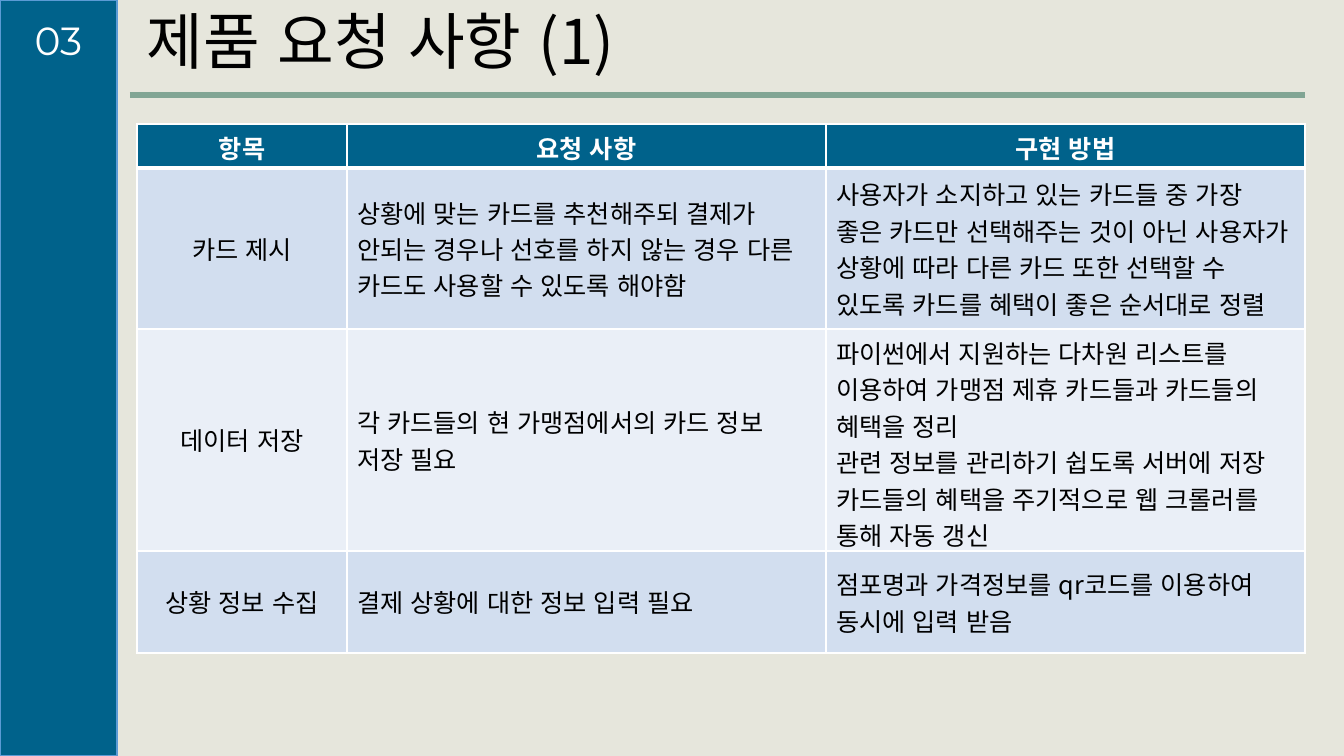
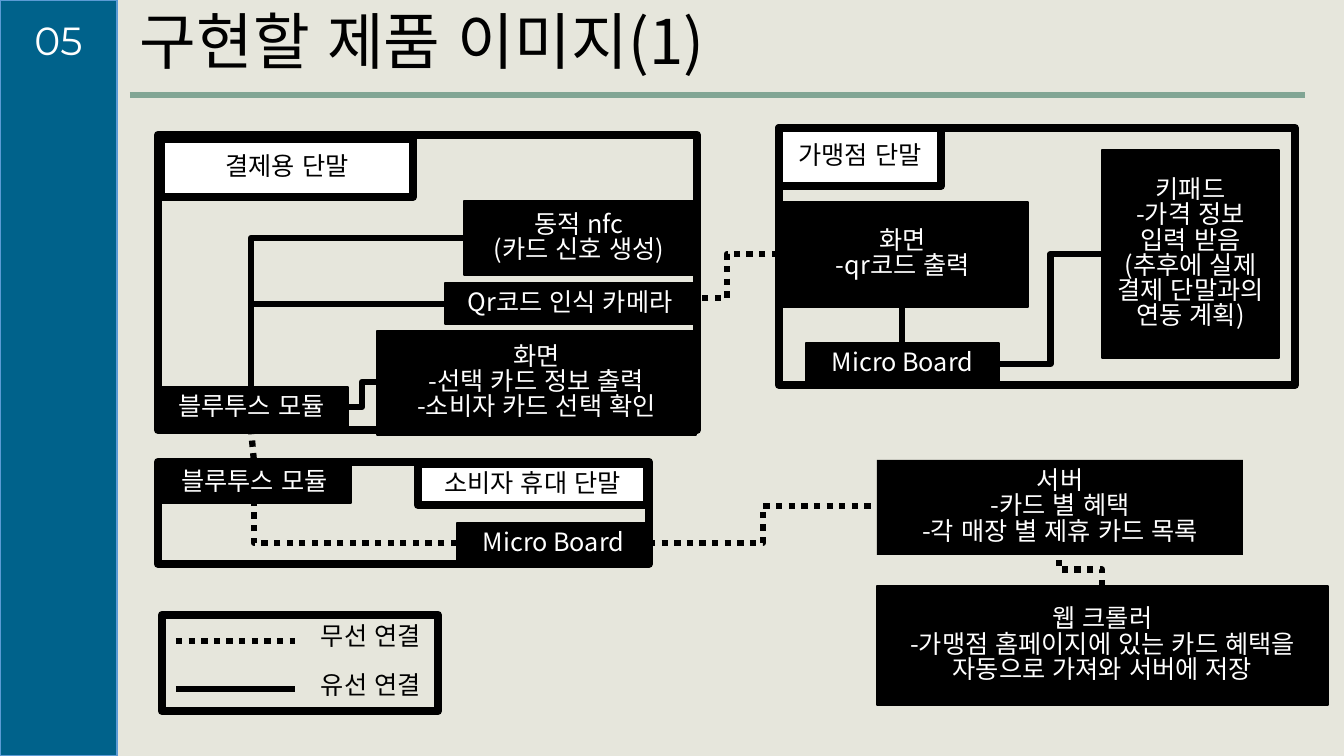
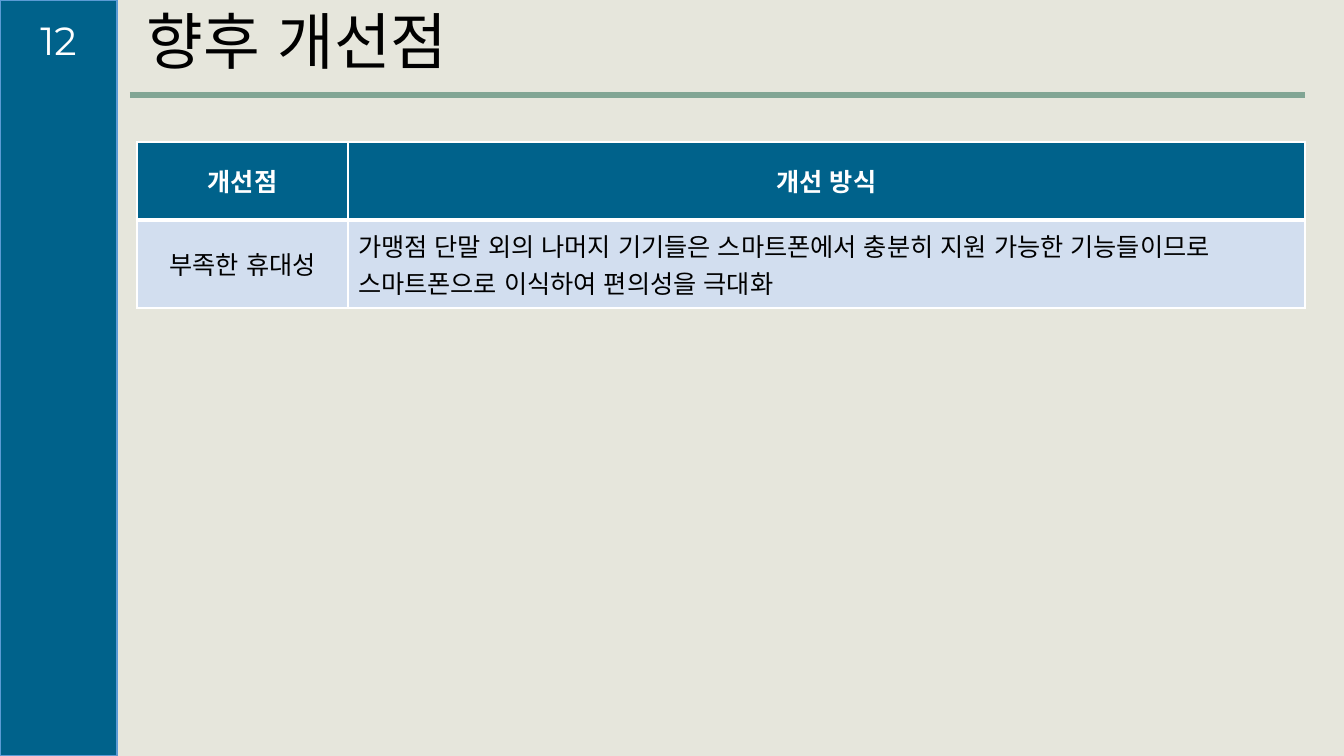
import pptx
import pptx.util
import pptx.dml.color
import pptx.enum.dml
import pptx.enum.lang
import pptx.enum.shapes
import pptx.enum.text
import pptx.oxml
import pptx.oxml.ns

# Shared look
SLIDE_WIDTH, SLIDE_HEIGHT = 1344, 756
SCALE = 12192000 / SLIDE_WIDTH
COLORS = {
    "background": "E6E6DC", "band": "00628B", "band_edge": "5B9BD5", "rule": "81A594",
    "white": "FFFFFF", "black": "000000", "row_dark": "D2DEEF", "row_light": "EAEFF7",
}
NUMBER_FONT, KOREAN_FONT = "Montserrat", "Noto Sans CJK KR"
BODY_SIZE, TITLE_SIZE, NUMBER_SIZE = 18, 44, 28
TIGHT = 0.83  # line spacing outside tables
CENTER, LEFT = pptx.enum.text.PP_ALIGN.CENTER, pptx.enum.text.PP_ALIGN.LEFT
MIDDLE, TOP = pptx.enum.text.MSO_ANCHOR.MIDDLE, pptx.enum.text.MSO_ANCHOR.TOP

# Tables: each cell is a list of paragraphs
REQUESTS = {
    "top": 124, "columns": [210, 479, 479], "rows": [44, 161, 222, 102],
    "cells": [
        [["항목"], ["요청 사항"], ["구현 방법"]],
        [["카드 제시"],
         ["상황에 맞는 카드를 추천해주되 결제가 안되는 경우나 선호를 하지 않는 경우 "
          "다른 카드도 사용할 수 있도록 해야함"],
         ["사용자가 소지하고 있는 카드들 중 가장 좋은 카드만 선택해주는 것이 아닌 사용자가 "
          "상황에 따라 다른 카드 또한 선택할 수 있도록 카드를 혜택이 좋은 순서대로 정렬"]],
        [["데이터 저장"],
         ["각 카드들의 현 가맹점에서의 카드 정보 저장 필요"],
         ["파이썬에서 지원하는 다차원 리스트를 이용하여 가맹점 제휴 카드들과 카드들의 혜택을 정리",
          "관련 정보를 관리하기 쉽도록 서버에 저장",
          "카드들의 혜택을 주기적으로 웹 크롤러를 통해 자동 갱신"]],
        [["상황 정보 수집"],
         ["결제 상황에 대한 정보 입력 필요"],
         ["점포명과 가격정보를 qr코드를 이용하여 동시에 입력 받음"]],
    ],
}
IMPROVEMENTS = {
    "top": 142, "columns": [211, 957], "rows": [78, 88],
    "cells": [
        [["개선점"], ["개선 방식"]],
        [["부족한 휴대성"],
         ["가맹점 단말 외의 나머지 기기들은 스마트폰에서 충분히 지원 가능한 기능들이므로 "
          "스마트폰으로 이식하여 편의성을 극대화"]],
    ],
}

# Diagram boxes: style, (left, top, width, height), paragraphs
BOX_STYLES = {  # fill, line width in points, text colour
    "part": ("black", 1, "white"),
    "plain": ("black", None, "white"),
    "frame": (None, 6, "black"),
    "label": ("white", 6, "black"),
}
BOXES = [
    ("plain", (877, 460, 366, 95), ["서버", "-카드 별 혜택", "-각 매장 별 제휴 카드 목록"]),
    ("part", (877, 586, 451, 119),
     ["웹 크롤러", "-가맹점 홈페이지에 있는 카드 혜택을 자동으로 가져와 서버에 저장"]),
    # shop terminal
    ("part", (778, 202, 250, 105), ["화면", "-qr코드 출력"]),
    ("part", (806, 343, 193, 41), ["Micro Board"]),
    ("part", (1102, 150, 177, 208),
     ["키패드", "-가격 정보 입력 받음", "(추후에 실제 결제 단말과의 연동 계획)"]),
    ("frame", (779, 128, 516, 257), []),
    ("label", (779, 128, 162, 58), ["가맹점 단말"]),
    # customer terminal
    ("frame", (158, 462, 491, 102), []),
    ("part", (158, 462, 193, 41), ["블루투스 모듈"]),
    ("part", (457, 523, 193, 41), ["Micro Board"]),
    ("label", (418, 464, 229, 41), ["소비자 휴대 단말"]),
    # payment terminal
    ("part", (445, 283, 250, 41), ["Qr코드 인식 카메라"]),
    ("part", (155, 387, 193, 41), ["블루투스 모듈"]),
    ("part", (464, 201, 230, 74), ["동적 nfc", "(카드 신호 생성)"]),
    ("frame", (158, 135, 539, 295), []),
    ("label", (161, 139, 252, 58), ["결제용 단말"]),
    ("part", (377, 331, 319, 104), ["화면", "-선택 카드 정보 출력", "-소비자 카드 선택 확인"]),
    # legend
    ("frame", (162, 615, 276, 96), []),
]
# Diagram wires: route, start, end, wireless
WIRES = [
    ("straight", (902, 343), (902, 307), False),
    ("elbow", (999, 364), (1102, 254), False),
    ("corner", (464, 238), (251, 387), False),
    ("corner", (445, 304), (251, 387), False),
    ("elbow", (377, 382), (347, 407), False),
    ("elbow", (649, 543), (877, 506), True),
    ("elbow", (778, 254), (676, 298), True),
    ("straight", (251, 428), (254, 462), True),
    ("corner", (457, 543), (254, 503), True),
    ("upright", (1102, 586), (1059, 553), True),
]
LEGEND = [("무선 연결", True), ("유선 연결", False)]
LEGEND_TOP, LEGEND_STEP = 641, 48


def px(length):
    return pptx.util.Emu(round(length * SCALE))


def rgb(name):
    return pptx.dml.color.RGBColor.from_string(COLORS[name])


def write(frame, lines, color, size=BODY_SIZE, font=KOREAN_FONT, align=CENTER,
          anchor=MIDDLE, bold=False, spacing=None):
    """Fill a text frame, one paragraph for each line."""
    frame.word_wrap = True
    frame.vertical_anchor = anchor
    for index, line in enumerate(lines):
        paragraph = frame.add_paragraph() if index else frame.paragraphs[0]
        paragraph.alignment = align
        if spacing:
            paragraph.line_spacing = spacing
        run = paragraph.add_run()
        run.text = line
        run.font.size = pptx.util.Pt(size)
        run.font.bold = bold
        run.font.name = font
        run.font.language_id = pptx.enum.lang.MSO_LANGUAGE_ID.KOREAN
        run.font.color.rgb = rgb(color)
        east_asian = pptx.oxml.parse_xml(
            f'<a:ea {pptx.oxml.ns.nsdecls("a")} typeface="{font}"/>')
        run.font._element.find(pptx.oxml.ns.qn("a:latin")).addnext(east_asian)


def add_text(slide, area, text, color, **options):
    box = slide.shapes.add_textbox(*map(px, area))
    write(box.text_frame, [text], color, anchor=TOP, **options)


def add_box(slide, area, fill, line_width, line_color="black"):
    shape = slide.shapes.add_shape(
        pptx.enum.shapes.MSO_SHAPE.RECTANGLE, *map(px, area))
    shape.shadow.inherit = False
    if fill:
        shape.fill.solid()
        shape.fill.fore_color.rgb = rgb(fill)
    else:
        shape.fill.background()
    if line_width:
        shape.line.width = pptx.util.Pt(line_width)
        shape.line.color.rgb = rgb(line_color)
    else:
        shape.line.fill.background()
    return shape


def add_wire(slide, route, start, end, wireless=False, color="black"):
    kinds = pptx.enum.shapes.MSO_CONNECTOR
    kind = kinds.STRAIGHT if route == "straight" else kinds.ELBOW
    wire = slide.shapes.add_connector(kind, *map(px, start + end))
    properties = wire._element.spPr
    if route == "corner":  # across, then up or down
        properties.find(pptx.oxml.ns.qn("a:prstGeom")).set("prst", "bentConnector2")
    if route == "upright":  # up, to the left, up
        center_x, center_y = (start[0] + end[0]) / 2, (start[1] + end[1]) / 2
        width, height = abs(start[1] - end[1]), abs(start[0] - end[0])
        wire.left, wire.top = px(center_x - width / 2), px(center_y - height / 2)
        wire.width, wire.height = px(width), px(height)
        transform = properties.find(pptx.oxml.ns.qn("a:xfrm"))
        for name, value in (("rot", "16200000"), ("flipH", "0"), ("flipV", "1")):
            transform.set(name, value)
    wire.line.width = pptx.util.Pt(4.5)
    wire.line.color.rgb = rgb(color)
    if wireless:
        wire.line.dash_style = pptx.enum.dml.MSO_LINE.ROUND_DOT
        dash = properties.find(".//" + pptx.oxml.ns.qn("a:prstDash"))
        dash.set("val", "sysDot")
    properties.append(pptx.oxml.parse_xml(
        f'<a:effectLst {pptx.oxml.ns.nsdecls("a")}/>'))


def add_borders(cell, widths):
    """Draw white cell edges; widths are points for left, right, top, bottom."""
    properties = cell._tc.get_or_add_tcPr()
    for side, width in zip("LRTB", widths):
        properties.append(pptx.oxml.parse_xml(
            f'<a:ln{side} {pptx.oxml.ns.nsdecls("a")} w="{pptx.util.Pt(width)}">'
            f'<a:solidFill><a:srgbClr val="{COLORS["white"]}"/></a:solidFill></a:ln{side}>'))


def add_grid(slide, content):
    columns, rows, cells = content["columns"], content["rows"], content["cells"]
    area = (137, content["top"], sum(columns), sum(rows))
    table = slide.shapes.add_table(len(rows), len(columns), *map(px, area)).table
    for column, width in zip(table.columns, columns):
        column.width = px(width)
    for row, height in zip(table.rows, rows):
        row.height = px(height)
    for row_index, row_cells in enumerate(cells):
        header = row_index == 0
        fill = "band" if header else ("row_light", "row_dark")[row_index % 2]
        for column_index, lines in enumerate(row_cells):
            cell = table.cell(row_index, column_index)
            add_borders(cell, (1, 1, 3 if row_index == 1 else 1, 3 if header else 1))
            cell.fill.solid()
            cell.fill.fore_color.rgb = rgb(fill)
            write(cell.text_frame, lines, "white" if header else "black", bold=header,
                  align=CENTER if header or column_index == 0 else LEFT)
            cell.vertical_anchor = MIDDLE


def add_diagram(slide):
    for style, area, lines in BOXES:
        fill, line_width, color = BOX_STYLES[style]
        shape = add_box(slide, area, fill, line_width)
        write(shape.text_frame, lines, color, spacing=TIGHT)
    for wire in WIRES:
        add_wire(slide, *wire)
    for index, (label, wireless) in enumerate(LEGEND):
        y = LEGEND_TOP + index * LEGEND_STEP
        add_wire(slide, "straight", (176, y), (295, y), wireless)
        add_text(slide, (311, y - 20, 136, 40), label, "black", align=LEFT, spacing=TIGHT)


def add_base(presentation, number, title, title_left):
    """Add a slide with its side band, number, title and rule."""
    slide = presentation.slides.add_slide(presentation.slide_layouts[6])
    slide.background.fill.solid()
    slide.background.fill.fore_color.rgb = rgb("background")
    add_box(slide, (0, 0, 117, SLIDE_HEIGHT), "band", 1, "band_edge")
    add_text(slide, (13, 11, 91, 57), number, "white", size=NUMBER_SIZE, font=NUMBER_FONT)
    add_text(slide, (title_left, 11, 774, 85), title, "black", size=TITLE_SIZE,
             align=LEFT, spacing=TIGHT)
    add_wire(slide, "straight", (130, 95), (1305, 95), color="rule")
    return slide


def main():
    presentation = pptx.Presentation()
    presentation.slide_width = px(SLIDE_WIDTH)
    presentation.slide_height = px(SLIDE_HEIGHT)
    add_grid(add_base(presentation, "03", "제품 요청 사항 (1)", 137), REQUESTS)
    add_diagram(add_base(presentation, "05", "구현할 제품 이미지(1)", 130))
    add_grid(add_base(presentation, "12", "향후 개선점", 137), IMPROVEMENTS)
    presentation.save("out.pptx")


if __name__ == "__main__":
    main()
